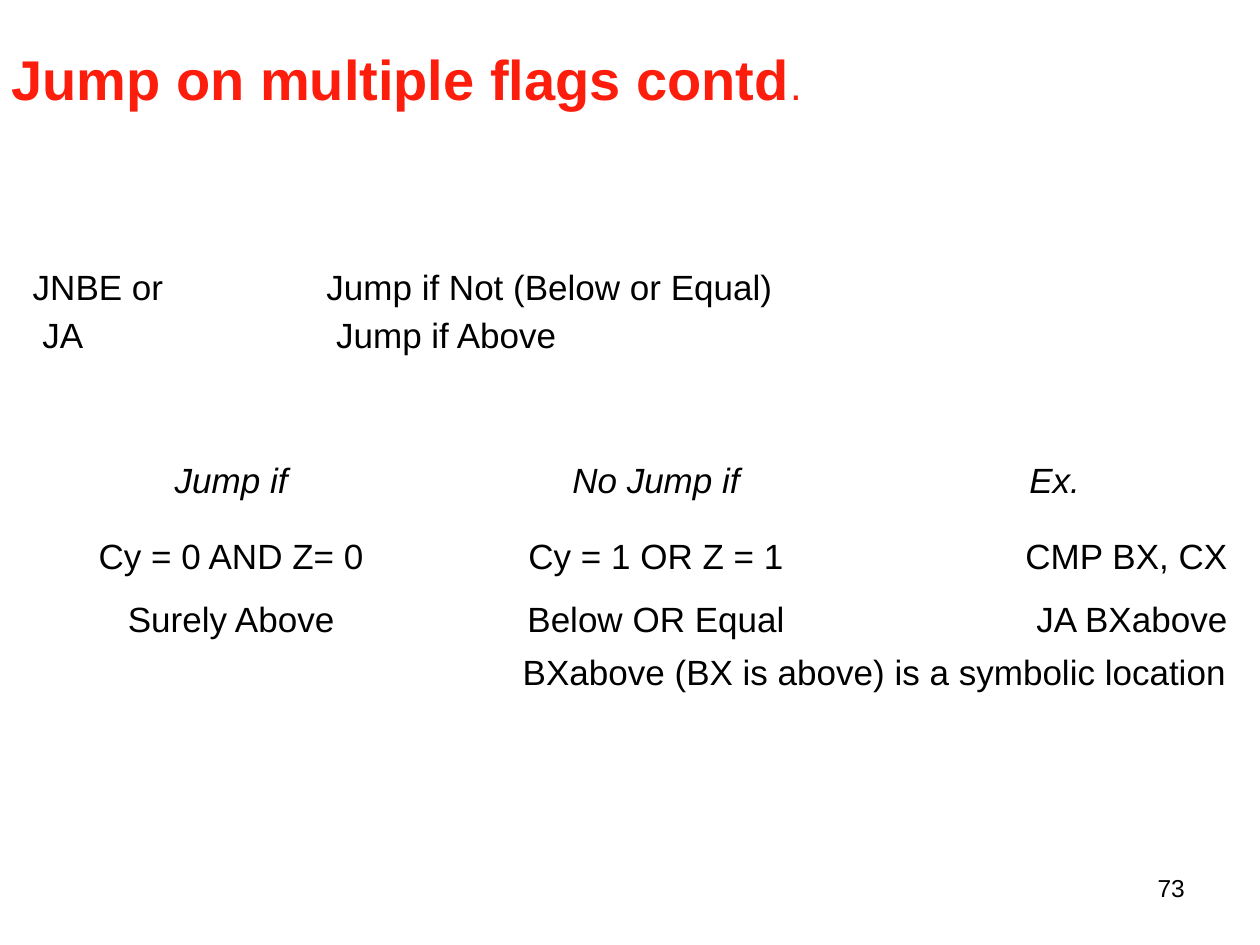
from dataclasses import dataclass
from pptx import Presentation
from pptx.dml.color import RGBColor
from pptx.enum.text import PP_ALIGN
from pptx.util import Pt


@dataclass(frozen=True)
class Theme:
    font: str = "Arial"
    ink: RGBColor = RGBColor(0, 0, 0)
    red: RGBColor = RGBColor(0xFC, 0x1D, 0x0C)
    head: int = 32
    dot: int = 24
    body: int = 20
    page: int = 14


@dataclass(frozen=True)
class Note:
    text: str
    left: float
    top: float
    width: float
    height: float
    size: int
    color: RGBColor
    bold: bool = False
    space: float = 1.0
    inset: float = 0.7
    indent: float = 0.7


@dataclass(frozen=True)
class Column:
    width: float
    right: float
    align: PP_ALIGN


@dataclass(frozen=True)
class Row:
    height: float
    top: float
    space: float
    texts: tuple[str, str, str]


theme = Theme()
title = Note("Jump on multiple flags contd", 5.8, 24.5, 453.6, 40.3,
             theme.head, theme.red, bold=True)
notes = (
    Note("73", 659.5, 496, 19.4, 18, theme.page, theme.ink,
         space=1.17, inset=0, indent=2),
    Note("JNBE or\v JA", 18, 147.6, 76.3, 56.9, theme.body, theme.ink, space=1.14),
    Note("Jump if Not (Below or Equal)  Jump if Above", 185.8, 147.6, 256.3, 56.9,
         theme.body, theme.ink, space=1.14),
    Note("BXabove (BX is above) is a symbolic location", 298, 370.8, 403.2, 25.9,
         theme.body, theme.ink),
)
columns = (
    Column(201.6, 44, PP_ALIGN.CENTER),
    Column(262, 22, PP_ALIGN.CENTER),
    Column(186.5, 2, PP_ALIGN.RIGHT),
)
rows = (
    Row(35.3, 0, 1.1, ("Jump if", "No Jump if", "Ex.")),
    Row(40.3, 10.8, 1.0, ("Cy = 0 AND Z= 0", "Cy = 1 OR Z = 1", "CMP BX, CX")),
    Row(27.4, 2.9, 1.16, ("Surely Above", "Below OR Equal", "JA BXabove")),
)


def style(font, size: int, color: RGBColor, bold: bool = False,
          italic: bool = False) -> None:
    font.name = theme.font
    font.size = Pt(size)
    font.color.rgb = color
    font.bold = bold
    font.italic = italic


def write(slide, note: Note):
    box = slide.shapes.add_textbox(
        Pt(note.left), Pt(note.top), Pt(note.width), Pt(note.height))
    frame = box.text_frame
    frame.word_wrap = True
    frame.margin_left = Pt(note.indent)
    frame.margin_right = frame.margin_bottom = Pt(0)
    frame.margin_top = Pt(note.inset)
    line = frame.paragraphs[0]
    line.text = note.text
    line.line_spacing = note.space
    style(line.font, note.size, note.color, note.bold)
    return line


def draw_table(slide) -> None:
    width = sum(column.width for column in columns)
    height = sum(row.height for row in rows)
    table = slide.shapes.add_table(
        len(rows), len(columns), Pt(53.3), Pt(261.4), Pt(width), Pt(height)).table
    table.first_row = False
    table.horz_banding = False
    for index, column in enumerate(columns):
        table.columns[index].width = Pt(column.width)
    for index, row in enumerate(rows):
        table.rows[index].height = Pt(row.height)
        header = index == 0
        for place, (text, column) in enumerate(zip(row.texts, columns)):
            cell = table.cell(index, place)
            cell.fill.background()
            cell.margin_left = cell.margin_bottom = Pt(0)
            cell.margin_top = Pt(row.top)
            inset = 15 if header and column.align == PP_ALIGN.RIGHT else column.right
            cell.margin_right = Pt(inset)
            line = cell.text_frame.paragraphs[0]
            line.text = text
            line.alignment = PP_ALIGN.CENTER if header else column.align
            line.line_spacing = row.space
            style(line.font, theme.body, theme.ink, italic=header)


def main() -> None:
    deck = Presentation()
    deck.slide_width = Pt(720)
    deck.slide_height = Pt(540)
    slide = deck.slides.add_slide(deck.slide_layouts[6])
    dot = write(slide, title).add_run()
    dot.text = "."
    style(dot.font, theme.dot, theme.red)
    for note in notes:
        write(slide, note)
    draw_table(slide)
    deck.save("out.pptx")


main()
